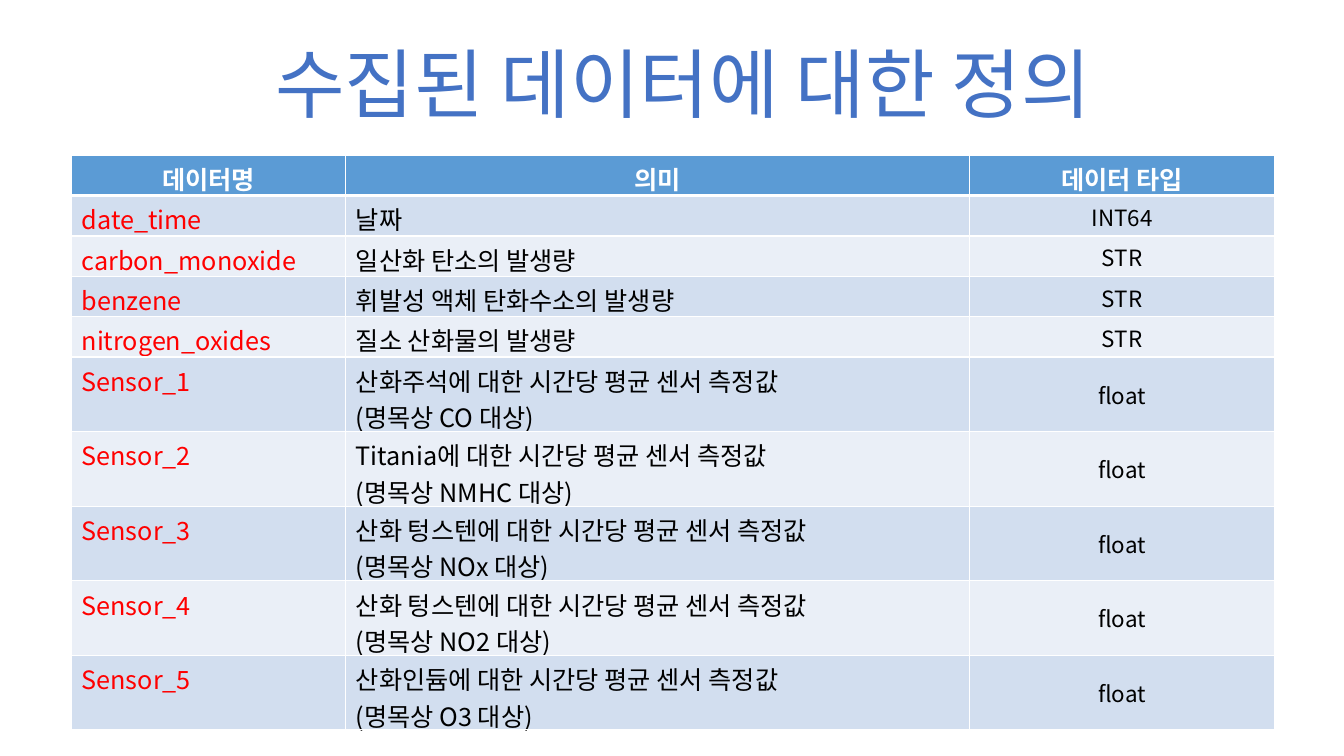
from lxml import etree
from pptx import Presentation
from pptx.dml.color import RGBColor
from pptx.enum.text import MSO_ANCHOR, PP_ALIGN
from pptx.oxml import parse_xml
from pptx.oxml.ns import qn
from pptx.util import Inches, Pt

CENTER, LEFT = PP_ALIGN.CENTER, PP_ALIGN.LEFT
MIDDLE, TOP = MSO_ANCHOR.MIDDLE, MSO_ANCHOR.TOP
FONT = "Noto Sans CJK KR"
DRAWING = "http://schemas.openxmlformats.org/drawingml/2006/main"

WHITE = RGBColor(0xFF, 0xFF, 0xFF)
BLACK = RGBColor(0x00, 0x00, 0x00)
RED = RGBColor(0xFF, 0x00, 0x00)
HEADER_BLUE = RGBColor(0x5B, 0x9B, 0xD5)
BANDS = (RGBColor(0xD2, 0xDE, 0xEF), RGBColor(0xEA, 0xEF, 0xF7))
TITLE_STOPS = (RGBColor(0x20, 0x38, 0x64), RGBColor(0x44, 0x72, 0xC4), RGBColor(0x8F, 0xAA, 0xDC))

COLUMN_WIDTHS = (2.72, 6.19, 3.02)
LINE_ROW, SENSOR_ROW = 0.4, 0.74
HEADINGS = ("데이터명", "의미", "데이터 타입")
MEASURES = [
    ("date_time", "날짜", "INT64"),
    ("carbon_monoxide", "일산화 탄소의 발생량", "STR"),
    ("benzene", "휘발성 액체 탄화수소의 발생량", "STR"),
    ("nitrogen_oxides", "질소 산화물의 발생량", "STR"),
]
SENSOR_TARGETS = [
    ("산화주석", "CO"),
    ("Titania", "NMHC"),
    ("산화 텅스텐", "NOx"),
    ("산화 텅스텐", "NO2"),
    ("산화인듐", "O3"),
]
SENSORS = [
    (f"Sensor_{number}", f"{material}에 대한 시간당 평균 센서 측정값\n(명목상 {gas} 대상)", "float")
    for number, (material, gas) in enumerate(SENSOR_TARGETS, 1)
]


def style_text(frame, size, color, align, bold=False):
    """Format every paragraph and run of a text frame."""
    for paragraph in frame.paragraphs:
        paragraph.alignment = align
        for run in paragraph.runs:
            run.font.size = Pt(size)
            run.font.bold = bold
            run.font.name = FONT
            run.font.color.rgb = color
            east_asian = etree.SubElement(run.font._element, qn("a:ea"))
            east_asian.set("typeface", FONT)


def apply_gradient(run, colors):
    """Fill a run with an evenly spaced vertical gradient."""
    step = 100000 // (len(colors) - 1)
    stops = "".join(
        f'<a:gs pos="{index * step}"><a:srgbClr val="{color}"/></a:gs>'
        for index, color in enumerate(colors)
    )
    gradient = parse_xml(
        f'<a:gradFill xmlns:a="{DRAWING}"><a:gsLst>{stops}</a:gsLst>'
        '<a:lin ang="5400000" scaled="0"/></a:gradFill>'
    )
    properties = run.font._element
    properties.replace(properties.find(qn("a:solidFill")), gradient)


def add_title(slide, text):
    """Add the centred gradient title."""
    title = slide.shapes.add_textbox(Inches(2.11), Inches(0.32), Inches(9.33), Inches(1.01))
    frame = title.text_frame
    frame.word_wrap = False
    frame.text = text
    style_text(frame, 54, TITLE_STOPS[1], CENTER)
    apply_gradient(frame.paragraphs[0].runs[0], TITLE_STOPS)


def add_borders(cell, top, bottom):
    """Draw white cell borders, with top and bottom widths in points."""
    properties = cell._tc.get_or_add_tcPr()
    for side, width in (("L", 1), ("R", 1), ("T", top), ("B", bottom)):
        properties.append(parse_xml(
            f'<a:ln{side} xmlns:a="{DRAWING}" w="{Pt(width)}"><a:solidFill>'
            f'<a:srgbClr val="{WHITE}"/></a:solidFill></a:ln{side}>'
        ))


def fill_cell(cell, text, fill, row, size, color, align, anchor=TOP):
    """Write and format one table cell."""
    add_borders(cell, 3 if row == 1 else 1, 3 if row == 0 else 1)
    cell.fill.solid()
    cell.fill.fore_color.rgb = fill
    cell.vertical_anchor = anchor
    cell.text_frame.text = text
    style_text(cell.text_frame, size, color, align, bold=row == 0)


def add_definitions(slide):
    """Add the table of data names, meanings and types."""
    records = MEASURES + SENSORS
    heights = [LINE_ROW] * (1 + len(MEASURES)) + [SENSOR_ROW] * len(SENSORS)
    table = slide.shapes.add_table(
        len(heights), len(COLUMN_WIDTHS), Inches(0.71), Inches(1.54),
        Inches(sum(COLUMN_WIDTHS)), Inches(sum(heights)),
    ).table
    for column, width in zip(table.columns, COLUMN_WIDTHS):
        column.width = Inches(width)
    for row, height in zip(table.rows, heights):
        row.height = Inches(height)
    for column, heading in enumerate(HEADINGS):
        fill_cell(table.cell(0, column), heading, HEADER_BLUE, 0, 18, WHITE, CENTER)
    column_styles = ((18, RED, LEFT), (18, BLACK, LEFT), (16, BLACK, CENTER, MIDDLE))
    for row, record in enumerate(records, 1):
        band = BANDS[(row - 1) % 2]
        for column, (text, style) in enumerate(zip(record, column_styles)):
            fill_cell(table.cell(row, column), text, band, row, *style)


def main():
    """Build and save the slide."""
    presentation = Presentation()
    presentation.slide_width = Inches(13.33)
    presentation.slide_height = Inches(7.5)
    slide = presentation.slides.add_slide(presentation.slide_layouts[6])
    add_title(slide, "수집된 데이터에 대한 정의")
    add_definitions(slide)
    presentation.save("out.pptx")


if __name__ == "__main__":
    main()
